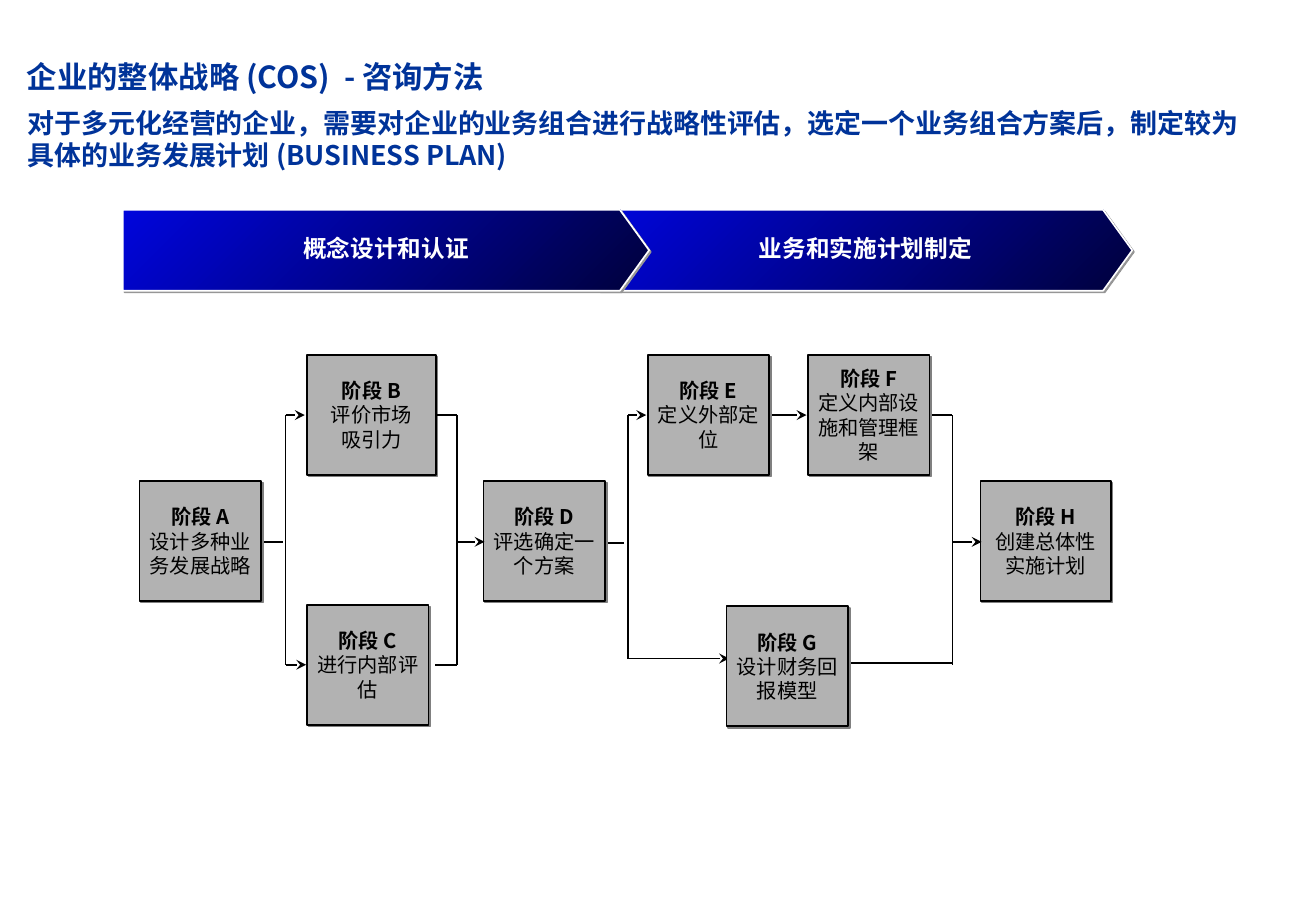
from lxml import etree
from pptx import Presentation
from pptx import util as u
from pptx.dml.color import RGBColor
from pptx.enum import shapes, text
from pptx.oxml import ns

COLORS = {
    "heading": "003399", "ink": "000000", "stage": "B2B2B2",
    "stage_shadow": "808080", "phase_shadow": "969696", "white": "FFFFFF",
    "phase_start": "0005DC", "phase_end": "00013C",
}
FONT = "Noto Sans CJK SC"
LINE_WIDTH = u.Pt(1)

# Flow geometry in cm, measured from the flow's top left corner
STAGE_WIDTH, STAGE_HEIGHT = 2.54, 2.51
TOP_ROW, MIDDLE_ROW, BOTTOM_ROW = 0, 2.64, 5.23
UPPER, MIDDLE, LOWER, FINANCE = 1.26, 3.91, 6.48, 6.35
FORK_1, JOIN_1, FORK_2, JOIN_2 = 3.05, 6.63, 10.21, 16.99

# Letter, left, top, width, lines of text
STAGES = [
    ("B", 3.5, TOP_ROW, 2.69, ["评价市场", "吸引力"]),
    ("A", 0, MIDDLE_ROW, STAGE_WIDTH, ["设计多种业务发展战略"]),
    ("H", 17.58, MIDDLE_ROW, 2.72, ["创建总体性实施计划"]),
    ("D", 7.19, MIDDLE_ROW, STAGE_WIDTH, ["评选确定一个方案"]),
    ("C", 3.5, BOTTOM_ROW, STAGE_WIDTH, ["进行内部评估"]),
    ("G", 12.27, BOTTOM_ROW + 0.03, STAGE_WIDTH, ["设计财务回报模型"]),
    ("F", 13.97, TOP_ROW, STAGE_WIDTH, ["定义内部设施和管理框架"]),
    ("E", 10.62, TOP_ROW, STAGE_WIDTH, ["定义外部定位"]),
]

# Start x, start y, end x, end y, has arrowhead
FORK_LINES = [
    (JOIN_2, LOWER - 0.03, 14.2, LOWER - 0.03, False),
    (2.36, MIDDLE, 3.0, MIDDLE, False),
    (FORK_1, UPPER, FORK_1, LOWER, False),
    (FORK_1, UPPER, 3.45, UPPER, True),
    (FORK_1, LOWER, 3.48, LOWER, True),
    (9.5, MIDDLE + 0.02, 10.13, MIDDLE + 0.02, False),
    (FORK_2, UPPER, FORK_2, FINANCE, False),
    (FORK_2, UPPER, 10.59, UPPER, True),
    (FORK_2, FINANCE, 12.32, FINANCE, True),
    (12.34, UPPER, 13.94, UPPER, True),
]
JOIN_LINES = [
    (JOIN_1, MIDDLE, 7.21, MIDDLE, True),
    (JOIN_1, UPPER, JOIN_1, LOWER, False),
    (JOIN_1, UPPER, 6.2, UPPER, False),
    (JOIN_1, LOWER, 6.17, LOWER, False),
    (JOIN_2, MIDDLE, 17.6, MIDDLE, True),
    (JOIN_2, UPPER, JOIN_2, LOWER, False),
    (JOIN_2, UPPER, 16.56, UPPER, False),
]


def color(name):
    return RGBColor.from_string(COLORS[name])


def add_element(parent, tag, **attributes):
    return etree.SubElement(parent, ns.qn(tag), attributes)


def format_paragraph(paragraph, size, color_name, bold):
    for run in paragraph.runs:
        run.font.size = u.Pt(size)
        run.font.bold = bold
        run.font.color.rgb = color(color_name)
        run.font.name = FONT
        add_element(run.font._element, "a:ea", typeface=FONT)


def set_margins(text_frame, horizontal, vertical):
    text_frame.margin_left = text_frame.margin_right = u.Cm(horizontal)
    text_frame.margin_top = text_frame.margin_bottom = u.Cm(vertical)


def add_shadow(shape, color_name):
    shape.shadow.inherit = False
    effects = shape._element.spPr.find(ns.qn("a:effectLst"))
    shadow = add_element(effects, "a:outerShdw", blurRad="0", dist="17780",
                         dir="2700000", algn="ctr", rotWithShape="0")
    add_element(shadow, "a:srgbClr", val=COLORS[color_name])


def add_heading(slide, box, wording, size):
    shape = slide.shapes.add_textbox(*map(u.Cm, box))
    text_frame = shape.text_frame
    text_frame.word_wrap = True
    text_frame.vertical_anchor = text.MSO_ANCHOR.BOTTOM
    set_margins(text_frame, 0, 0)
    text_frame.text = wording
    format_paragraph(text_frame.paragraphs[0], size, "heading", True)


def add_phase(slide, box, wording):
    left, top, width, height = box
    shoulder, tip, bottom = left + width - 0.61, left + width, top + height
    builder = slide.shapes.build_freeform(u.Cm(left), u.Cm(top))
    corners = [(shoulder, top), (tip, top + height / 2),
               (shoulder, bottom), (left, bottom)]
    builder.add_line_segments([(u.Cm(x), u.Cm(y)) for x, y in corners])
    shape = builder.convert_to_shape()
    shape.fill.gradient()
    shape.fill.gradient_angle = 315
    for stop, name in zip(shape.fill.gradient_stops, ("phase_start", "phase_end")):
        stop.color.rgb = color(name)
    shape.line.color.rgb = color("white")
    shape.line.width = LINE_WIDTH
    add_shadow(shape, "phase_shadow")

    text_frame = shape.text_frame
    text_frame.word_wrap = False
    text_frame.vertical_anchor = text.MSO_ANCHOR.MIDDLE
    set_margins(text_frame, 0.25, 0.13)
    text_frame.text = wording
    paragraph = text_frame.paragraphs[0]
    paragraph.alignment = text.PP_ALIGN.CENTER
    paragraph.line_spacing = 0.9
    format_paragraph(paragraph, 14, "white", True)


def add_stage(slide, box, letter, lines):
    shape = slide.shapes.add_shape(shapes.MSO_SHAPE.RECTANGLE, *map(u.Cm, box))
    shape.fill.solid()
    shape.fill.fore_color.rgb = color("stage")
    shape.line.color.rgb = color("ink")
    shape.line.width = LINE_WIDTH
    add_shadow(shape, "stage_shadow")

    text_frame = shape.text_frame
    text_frame.word_wrap = True
    text_frame.vertical_anchor = text.MSO_ANCHOR.MIDDLE
    set_margins(text_frame, 0.13, 0.13)
    text_frame.text = "\n".join([f"阶段 {letter}", *lines])
    for index, paragraph in enumerate(text_frame.paragraphs):
        paragraph.alignment = text.PP_ALIGN.CENTER
        format_paragraph(paragraph, 12, "ink", index == 0)


def add_flow_line(slide, origin, start_x, start_y, end_x, end_y, arrow):
    left, top = origin
    connector = slide.shapes.add_connector(
        shapes.MSO_CONNECTOR.STRAIGHT,
        u.Cm(left + start_x), u.Cm(top + start_y),
        u.Cm(left + end_x), u.Cm(top + end_y))
    connector.line.color.rgb = color("ink")
    connector.line.width = LINE_WIDTH
    if arrow:
        add_element(connector.line._get_or_add_ln(), "a:tailEnd", type="stealth")
    add_element(connector._element.spPr, "a:effectLst")


def add_flow(slide, origin):
    left, top = origin
    for line in FORK_LINES:
        add_flow_line(slide, origin, *line)
    for letter, x, y, width, lines in STAGES:
        add_stage(slide, (left + x, top + y, width, STAGE_HEIGHT), letter, lines)
    # Joining lines lie over the stages so their arrowheads stay visible
    for line in JOIN_LINES:
        add_flow_line(slide, origin, *line)


presentation = Presentation()
presentation.slide_width, presentation.slide_height = u.Cm(27.51), u.Cm(19.05)
slide = presentation.slides.add_slide(presentation.slide_layouts[6])

# Headings
add_heading(slide, (0.56, 0.46, 24.66, 1.52), "企业的整体战略 (COS)  - 咨询方法", 18)
add_heading(slide, (0.58, 2.06, 25.6, 1.52),
            "对于多元化经营的企业，需要对企业的业务组合进行战略性评估，"
            "选定一个业务组合方案后，制定较为具体的业务发展计划 (BUSINESS PLAN)", 16)

# Stage flow
add_flow(slide, (2.92, 7.42))

# Phase banner, first phase overlapping the second
add_phase(slide, (12.52, 4.39, 11.15, 1.69), "业务和实施计划制定")
add_phase(slide, (2.57, 4.39, 11.0, 1.69), "概念设计和认证")

presentation.save("out.pptx")
